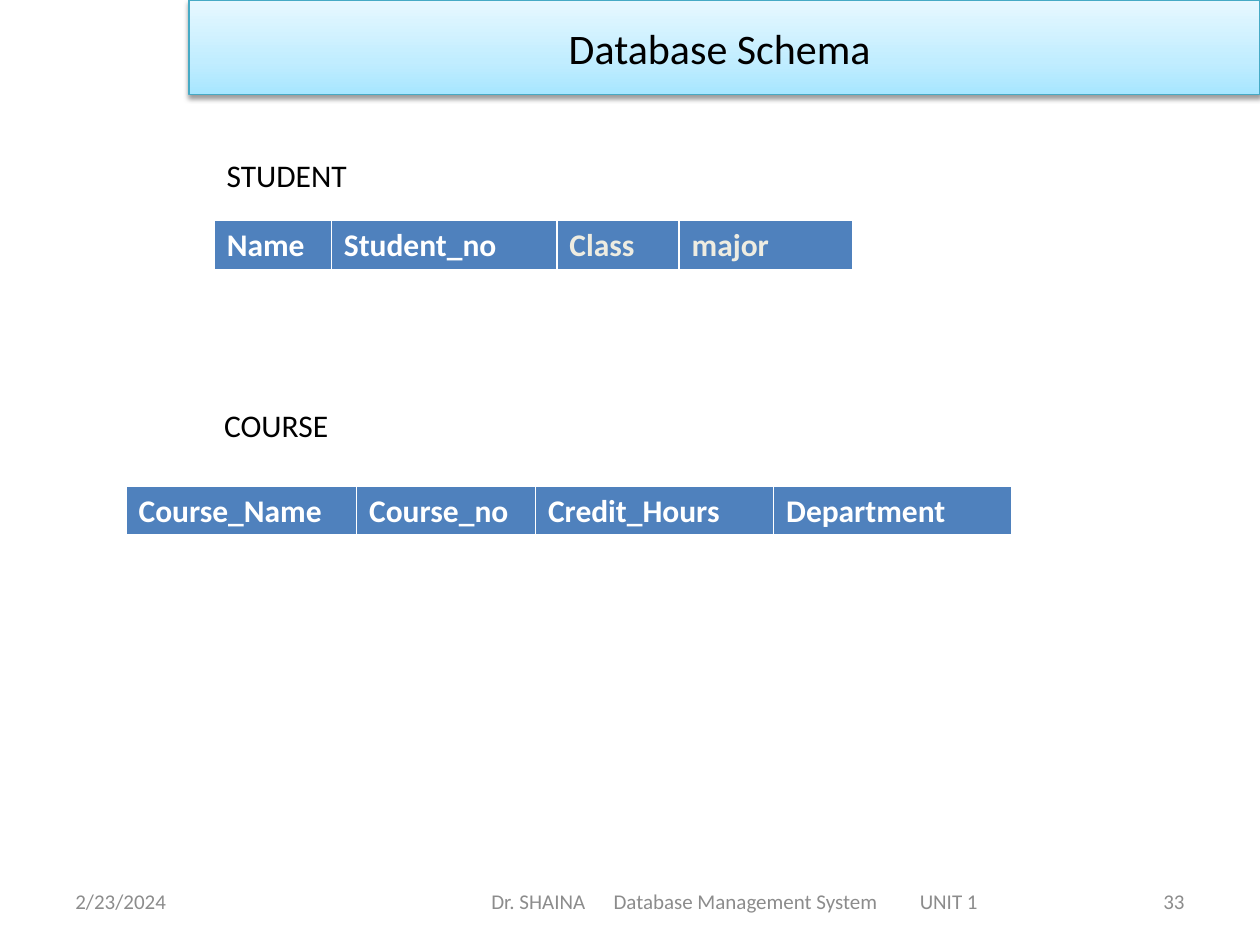
from copy import deepcopy

from pptx import Presentation
from pptx.dml.color import RGBColor
from pptx.enum.shapes import MSO_SHAPE
from pptx.enum.text import MSO_ANCHOR, PP_ALIGN
from pptx.oxml import parse_xml
from pptx.oxml.ns import nsdecls, qn
from pptx.util import Inches, Pt

LEFT, CENTER, RIGHT = PP_ALIGN.LEFT, PP_ALIGN.CENTER, PP_ALIGN.RIGHT
TOP, MIDDLE = MSO_ANCHOR.TOP, MSO_ANCHOR.MIDDLE
RECTANGLE = MSO_SHAPE.RECTANGLE

FONT = "Calibri"
BLACK, WHITE, CREAM, GREY = "000000", "FFFFFF", "EEECE1", "8C8C8C"
HEADER_BLUE, BANNER_EDGE = "4F81BD", "46AAC5"
BANNER_STOPS = [(0, "A7E6FF"), (0.35, "C1EDFF"), (1, "E7F8FF")]
CELL_BORDERS = [("lnL", 1), ("lnR", 1), ("lnT", 1), ("lnB", 3)]


def rgb(color):
    return RGBColor.from_string(color)


def write(frame, text, size, color, align=LEFT, bold=False):
    paragraph = frame.paragraphs[0]
    paragraph.text = text
    paragraph.alignment = align
    font = paragraph.font
    font.name, font.size, font.bold = FONT, Pt(size), bold
    font.color.rgb = rgb(color)
    return paragraph


def add_label(slide, box, text, size, color, align=LEFT, anchor=TOP):
    frame = slide.shapes.add_textbox(*map(Inches, box)).text_frame
    frame.word_wrap = True
    frame.vertical_anchor = anchor
    write(frame, text, size, color, align)
    return frame


def add_banner(slide, text):
    banner = slide.shapes.add_shape(RECTANGLE, *map(Inches, (1.5, 0, 8.5, 0.75)))
    banner.line.color.rgb = rgb(BANNER_EDGE)
    banner.line.width = Pt(0.75)

    # Three-stop gradient, running upwards
    banner.fill.gradient()
    banner.fill.gradient_angle = 90
    properties = banner._element.spPr
    stop_list = properties.find(".//" + qn("a:gsLst"))
    stop_list.append(deepcopy(stop_list[0]))
    for stop, (position, color) in zip(banner.fill.gradient_stops, BANNER_STOPS):
        stop.position = position
        stop.color.rgb = rgb(color)

    # Soft shadow below
    properties.append(parse_xml(
        f'<a:effectLst {nsdecls("a")}>'
        f'<a:outerShdw blurRad="{Pt(3.1)}" dist="{Pt(1.6)}" dir="5400000" rotWithShape="0">'
        f'<a:srgbClr val="{BLACK}"><a:alpha val="38000"/></a:srgbClr>'
        '</a:outerShdw></a:effectLst>'))

    banner.text_frame.vertical_anchor = MIDDLE
    write(banner.text_frame, text, 24, BLACK, CENTER)


def set_borders(cell):
    properties = cell._tc.get_or_add_tcPr()
    for index, (side, width) in enumerate(CELL_BORDERS):
        properties.insert(index, parse_xml(
            f'<a:{side} {nsdecls("a")} w="{Pt(width)}"><a:solidFill>'
            f'<a:srgbClr val="{WHITE}"/></a:solidFill></a:{side}>'))


def add_relation(slide, left, top, attributes):
    """Draw a one-row table from (name, column width, text color) entries."""
    width = sum(column_width for _, column_width, _ in attributes)
    table = slide.shapes.add_table(
        1, len(attributes), *map(Inches, (left, top, width, 0.4))).table
    for index, (name, column_width, color) in enumerate(attributes):
        table.columns[index].width = Inches(column_width)
        cell = table.cell(0, index)
        cell.fill.solid()
        cell.fill.fore_color.rgb = rgb(HEADER_BLUE)
        set_borders(cell)
        write(cell.text_frame, name, 18, color, bold=True)


def add_footer(slide):
    top, height = 6.95, 0.4
    add_label(slide, (0.5, top, 2.33, height), "2/23/2024", 12, GREY, LEFT, MIDDLE)
    add_label(slide, (7.17, top, 2.33, height), "33", 12, GREY, RIGHT, MIDDLE)

    # Author, subject and unit, spaced by tab stops
    credits = add_label(slide, (3.42, top, 4.83, height),
                        "Dr. SHAINA\tDatabase Management System\tUNIT 1",
                        12, GREY, LEFT, MIDDLE)
    credits.margin_left = Inches(0.48)
    tabs = "".join(f'<a:tab pos="{Inches(stop)}" algn="l"/>' for stop in (0.97, 3.4))
    credits.paragraphs[0]._p.get_or_add_pPr().insert(
        0, parse_xml(f'<a:tabLst {nsdecls("a")}>{tabs}</a:tabLst>'))


def main():
    presentation = Presentation()
    presentation.slide_width, presentation.slide_height = Inches(10), Inches(7.5)
    slide = presentation.slides.add_slide(presentation.slide_layouts[6])

    add_footer(slide)
    add_banner(slide, "Database Schema ")

    # Student relation
    add_relation(slide, 1.7, 1.75, [
        ("Name", 0.93, WHITE), ("Student_no", 1.79, WHITE),
        ("Class", 0.97, CREAM), ("major", 1.38, CREAM)])
    add_label(slide, (1.7, 1.19, 4.05, 0.4), "STUDENT", 18, BLACK)

    # Course relation
    add_relation(slide, 1, 3.86, [
        ("Course_Name", 1.83, WHITE), ("Course_no", 1.42, WHITE),
        ("Credit_Hours", 1.89, WHITE), ("Department", 1.89, WHITE)])
    add_label(slide, (1.68, 3.17, 3.92, 0.4), "COURSE", 18, BLACK)

    presentation.save("out.pptx")


if __name__ == "__main__":
    main()
